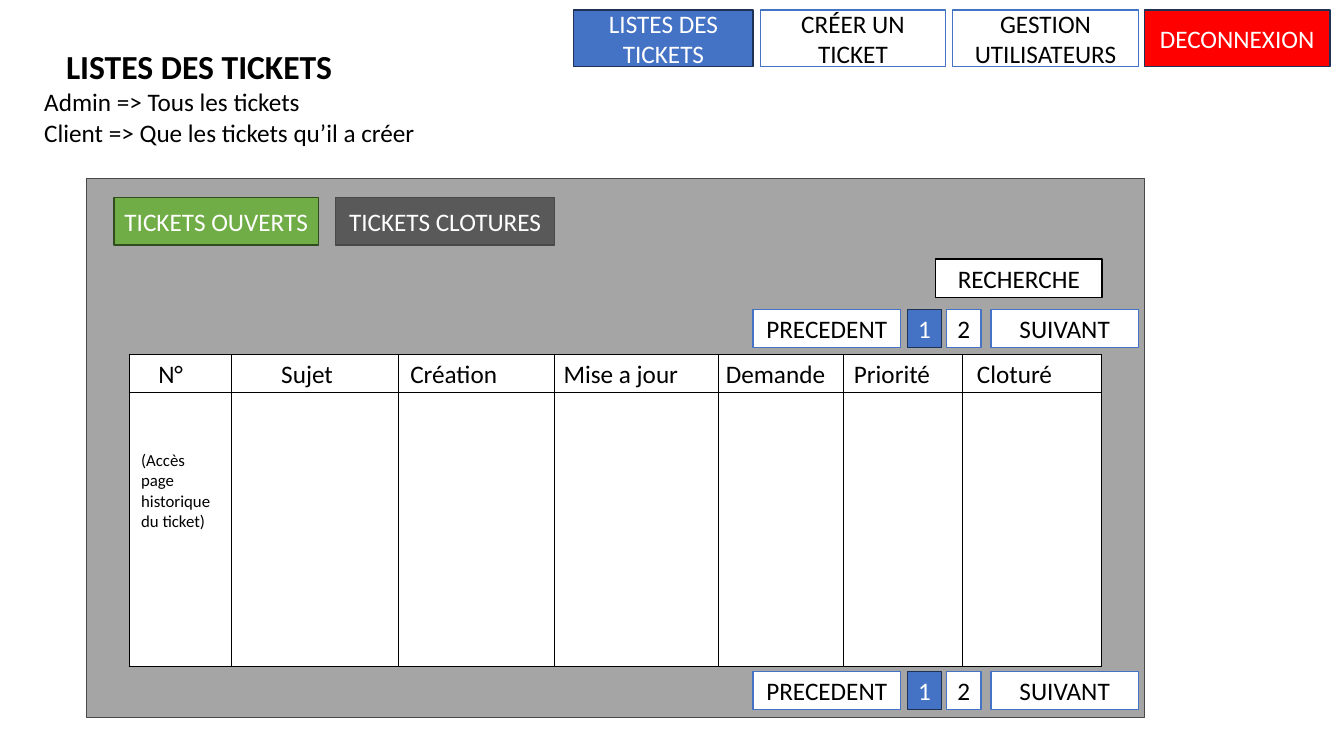
import pptx
import pptx.util
import pptx.dml.color
import pptx.enum.shapes
import pptx.enum.text
import pptx.oxml
import pptx.oxml.ns
from pptx.util import Inches

BLACK, WHITE, BLUE, NAVY = "000000", "FFFFFF", "4472C4", "1E3256"
GREY, DARK_GREY, CHARCOAL = "A5A5A5", "484848", "595959"
GREEN, DARK_GREEN, RED = "70AD47", "314C1F", "FF0000"


def color(hex_code):
    return pptx.dml.color.RGBColor.from_string(hex_code)


class Wireframe:
    font_name = "Calibri"
    body_size = 18
    border_width = 0.75

    def __init__(self, slide):
        self.slide = slide

    def add_text(self, paragraph, text, size=body_size, ink=BLACK, bold=False):
        for index, line in enumerate(text.split("\n")):
            if index:
                paragraph.add_line_break()
            run = paragraph.add_run()
            run.text = line
            run.font.name = self.font_name
            run.font.size = pptx.util.Pt(size)
            run.font.bold = bold
            run.font.color.rgb = color(ink)

    def title(self, text, left, top, width, height):
        heading = self.slide.shapes.title
        heading.left, heading.top = Inches(left), Inches(top)
        heading.width, heading.height = Inches(width), Inches(height)
        heading.text_frame.vertical_anchor = pptx.enum.text.MSO_ANCHOR.MIDDLE
        paragraph = heading.text_frame.paragraphs[0]
        paragraph.alignment = pptx.enum.text.PP_ALIGN.CENTER
        self.add_text(paragraph, text, size=24, bold=True)

    def label(self, text, left, top, width, height):
        box = self.slide.shapes.add_textbox(
            Inches(left), Inches(top), Inches(width), Inches(height))
        box.text_frame.word_wrap = True
        self.add_text(box.text_frame.paragraphs[0], text)

    def panel(self, left, top, width, height, fill, outline):
        rectangle = self.slide.shapes.add_shape(
            pptx.enum.shapes.MSO_SHAPE.RECTANGLE,
            Inches(left), Inches(top), Inches(width), Inches(height))
        rectangle.shadow.inherit = False
        rectangle.fill.solid()
        rectangle.fill.fore_color.rgb = color(fill)
        rectangle.line.color.rgb = color(outline)
        rectangle.line.width = pptx.util.Pt(1)
        return rectangle

    def button(self, text, left, top, width, height,
               fill=WHITE, outline=BLUE, ink=BLACK, wrap=False):
        frame = self.panel(left, top, width, height, fill, outline).text_frame
        frame.word_wrap = wrap
        frame.vertical_anchor = pptx.enum.text.MSO_ANCHOR.MIDDLE
        paragraph = frame.paragraphs[0]
        paragraph.alignment = pptx.enum.text.PP_ALIGN.CENTER
        self.add_text(paragraph, text, ink=ink)

    def pagination(self, top):
        height = 0.38
        self.button("PRECEDENT", 7.47, top, 1.46, height)
        self.button("1", 9, top, 0.34, height, BLUE, NAVY, WHITE)
        self.button("2", 9.39, top, 0.34, height)
        self.button("SUIVANT", 9.83, top, 1.46, height)

    def style_cell(self, cell):
        properties = cell._tc.get_or_add_tcPr()
        for side in ("lnL", "lnR", "lnT", "lnB"):
            properties.append(pptx.oxml.parse_xml(
                f'<a:{side} {pptx.oxml.ns.nsdecls("a")} '
                f'w="{pptx.util.Pt(self.border_width)}"><a:solidFill>'
                f'<a:srgbClr val="{BLACK}"/></a:solidFill></a:{side}>'))
        cell.fill.solid()
        cell.fill.fore_color.rgb = color(WHITE)

    def ticket_table(self, left, top, columns, row_heights, note):
        width = sum(column[1] for column in columns)
        grid = self.slide.shapes.add_table(
            len(row_heights), len(columns), Inches(left), Inches(top),
            Inches(width), Inches(sum(row_heights))).table
        for row, height in zip(grid.rows, row_heights):
            row.height = Inches(height)
        for index, (heading, column_width, indent) in enumerate(columns):
            grid.columns[index].width = Inches(column_width)
            header = grid.cell(0, index)
            header.margin_left = Inches(indent)
            header.margin_right = header.margin_bottom = 0
            header.margin_top = Inches(0.05)
            self.add_text(header.text_frame.paragraphs[0], heading)
            for row in range(len(row_heights)):
                self.style_cell(grid.cell(row, index))
        access = grid.cell(1, 0)
        access.margin_left, access.margin_right = Inches(0.12), Inches(0.17)
        access.margin_top = Inches(0.58)
        self.add_text(access.text_frame.paragraphs[0], note, size=12)


def main():
    deck = pptx.Presentation()
    deck.slide_width, deck.slide_height = Inches(13.33), Inches(7.5)
    page = Wireframe(deck.slides.add_slide(deck.slide_layouts[5]))

    page.title("LISTES DES TICKETS", 0, 0, 3.95, 1.31)
    page.label("Admin => Tous les tickets\nClient => Que les tickets qu’il a créer",
               0.34, 0.81, 4.02, 0.71)

    navigation = [
        ("LISTES DES TICKETS", 5.69, 1.78, BLUE, NAVY, WHITE),
        ("CRÉER UN TICKET", 7.54, 1.84, WHITE, BLUE, BLACK),
        ("GESTION UTILISATEURS", 9.45, 1.84, WHITE, BLUE, BLACK),
        ("DECONNEXION", 11.35, 1.84, RED, NAVY, WHITE),
    ]
    for text, left, width, fill, outline, ink in navigation:
        page.button(text, left, 0.1, width, 0.56, fill, outline, ink, wrap=True)

    page.panel(0.86, 1.77, 10.49, 5.35, GREY, DARK_GREY)
    page.button("TICKETS OUVERTS", 1.13, 1.96, 2.03, 0.47, GREEN, DARK_GREEN, WHITE)
    page.button("TICKETS CLOTURES", 3.33, 1.96, 2.17, 0.47, CHARCOAL, DARK_GREY, WHITE)
    page.button("RECHERCHE", 9.28, 2.57, 1.65, 0.38, outline=BLACK)

    columns = [
        ("N°", 1.02, 0.29),
        ("Sujet", 1.65, 0.49),
        ("Création", 1.55, 0.12),
        ("Mise a jour", 1.63, 0.09),
        ("Demande", 1.24, 0.07),
        ("Priorité", 1.18, 0.1),
        ("Cloturé", 1.38, 0.14),
    ]
    page.ticket_table(1.28, 3.52, columns, (0.37, 2.72),
                      "(Accès page historique du ticket)")
    for top in (3.07, 6.66):
        page.pagination(top)

    deck.save("out.pptx")


if __name__ == "__main__":
    main()
